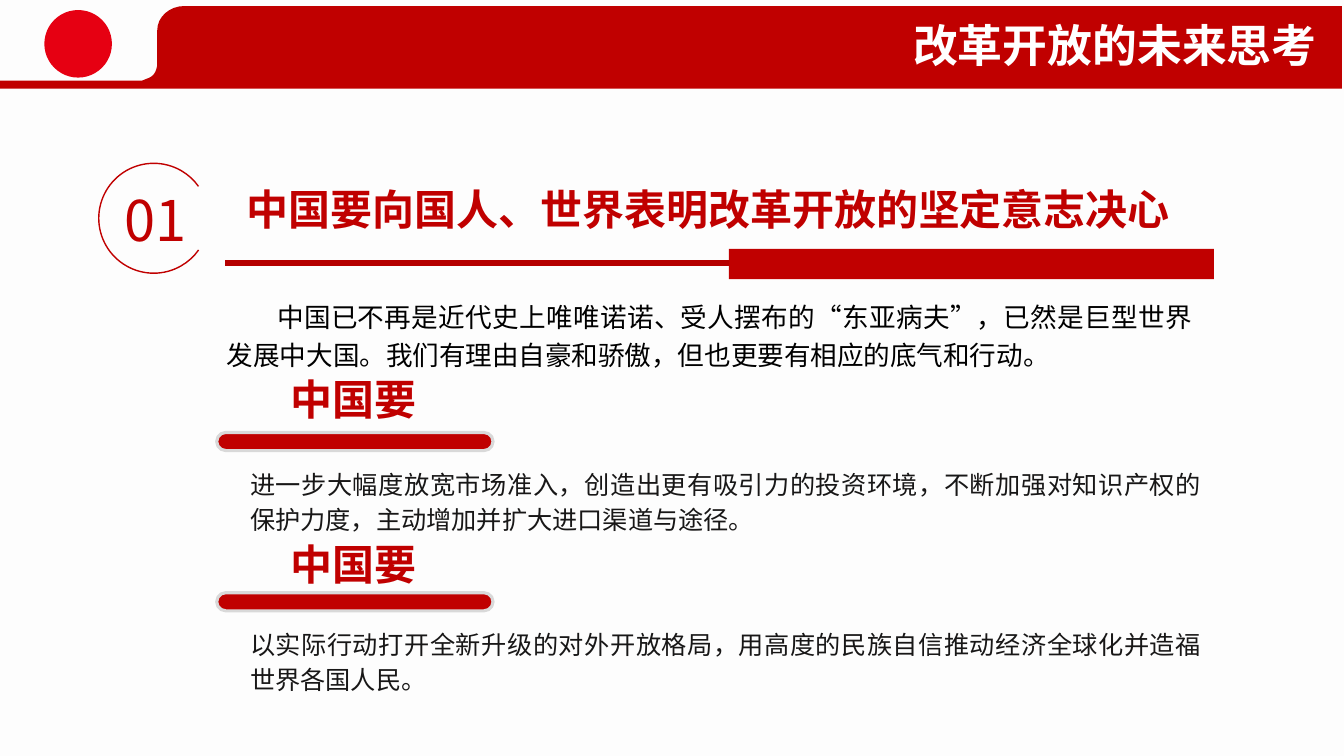
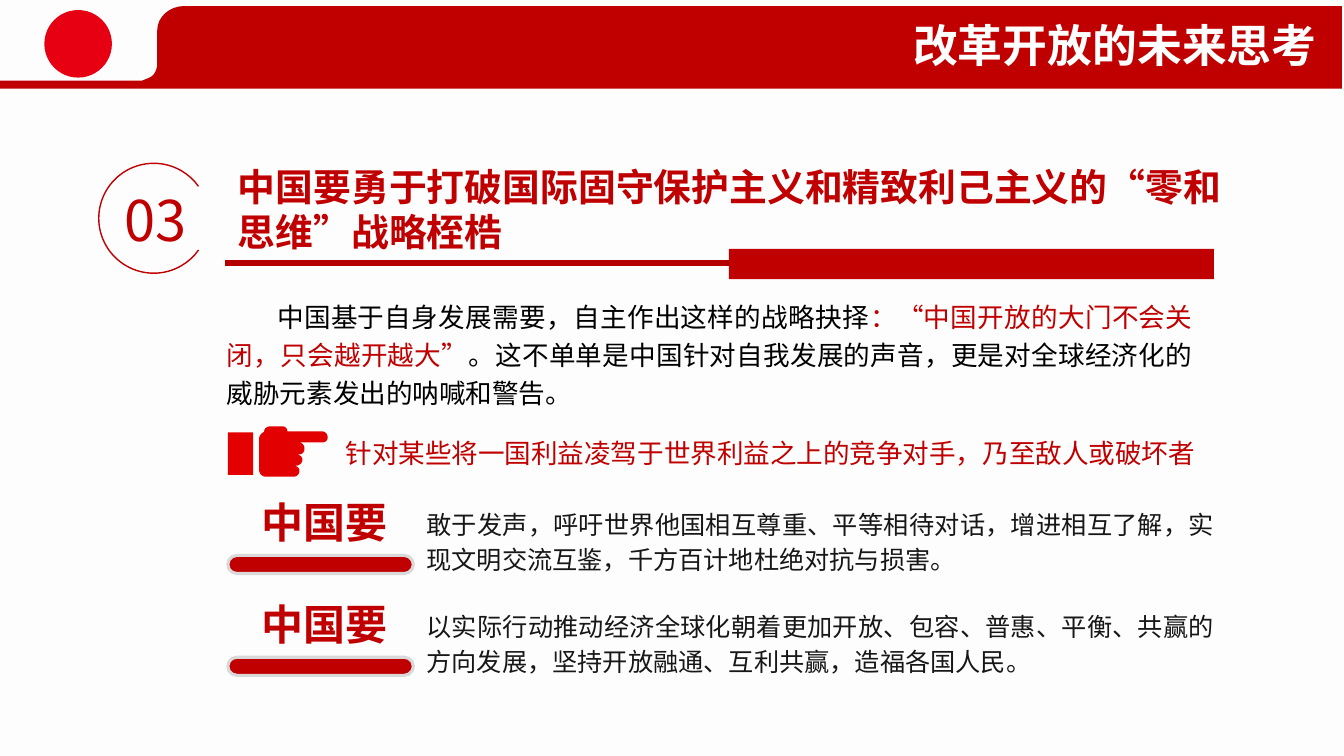
from dataclasses import dataclass

from lxml.etree import SubElement
from pptx import Presentation
from pptx.dml.color import RGBColor
from pptx.enum.shapes import MSO_CONNECTOR, MSO_SHAPE
from pptx.enum.text import MSO_ANCHOR, MSO_AUTO_SIZE, PP_ALIGN
from pptx.oxml.ns import qn
from pptx.util import Inches, Pt

FONT = "Noto Sans CJK SC"
RED = "C00000"
RULE_RED = "B50000"
EMBLEM_RED = "E60012"
HAND_RED = "E20000"
BLACK = "000000"
INK = "181717"
WHITE = "FFFFFF"
RIM = "D9D9D9"
PAPER = "FDFDFD"
CURVE_STEPS = 8

BAND = [
    (1.83, 0.06), (13.31, 0.06), (13.31, 0.88), (-0.02, 0.88), (-0.02, 0.8),
    (1.41, 0.8), (1.46, 0.78), (1.52, 0.76, 1.54, 0.72, 1.55, 0.69),
    (1.56, 0.65), (1.56, 0.3), (1.56, 0.17, 1.68, 0.06, 1.83, 0.06),
]
HAND = [
    (2.97, 4.67), (2.97, 4.64, 2.94, 4.62, 2.91, 4.62), (2.94, 4.62),
    (2.97, 4.62, 3, 4.59, 3, 4.56), (3, 4.53, 2.97, 4.51, 2.94, 4.51),
    (2.97, 4.51, 3.02, 4.51, 3.02, 4.45), (3.02, 4.42, 3, 4.39, 2.96, 4.39),
    (3.19, 4.39), (3.23, 4.39, 3.25, 4.37, 3.25, 4.34),
    (3.25, 4.31, 3.23, 4.28, 3.19, 4.28), (2.85, 4.28),
    (2.85, 4.25, 2.83, 4.23, 2.8, 4.23), (2.68, 4.23),
    (2.65, 4.23, 2.62, 4.25, 2.62, 4.28), (2.63, 4.28),
    (2.6, 4.29, 2.57, 4.32, 2.57, 4.35), (2.57, 4.66),
    (2.57, 4.7, 2.6, 4.73, 2.64, 4.73), (2.91, 4.73),
    (2.94, 4.73, 2.97, 4.71, 2.97, 4.67),
]


@dataclass(frozen=True)
class Box:
    left: float
    top: float
    width: float
    height: float

    def emu(self) -> tuple:
        return tuple(Inches(v) for v in (self.left, self.top, self.width, self.height))


@dataclass(frozen=True)
class Style:
    size: float
    color: str
    bold: bool = False
    align: PP_ALIGN = PP_ALIGN.LEFT
    spacing: object = None


@dataclass(frozen=True)
class Demand:
    pill: Box
    label_left: float
    detail_box: Box
    detail: str


@dataclass(frozen=True)
class Section:
    number: str
    heading: str
    heading_box: Box
    heading_size: float
    summary: tuple
    summary_height: float
    demands: tuple
    target: str = ""


HEADER = Style(32, WHITE, True, PP_ALIGN.RIGHT)
NUMBER = Style(40, RED)
LABEL = Style(30, RED, True)
SUMMARY = Style(19, BLACK, align=PP_ALIGN.JUSTIFY, spacing=1.2)
TARGET = Style(19, RED)
DETAIL = Style(18, INK, align=PP_ALIGN.JUSTIFY, spacing=Pt(25))

SECTIONS = [
    Section(
        "01", "中国要向国人、世界表明改革开放的坚定意志决心",
        Box(2.34, 1.77, 9.7, 0.87), 30,
        (("中国已不再是近代史上唯唯诺诺、受人摆布的“东亚病夫”，已然是巨型世界发展中大国。"
          "我们有理由自豪和骄傲，但也更要有相应的底气和行动。", BLACK),),
        0.84,
        (
            Demand(Box(2.15, 4.29, 2.74, 0.18), 2.78, Box(2.36, 4.55, 9.68, 0.79),
                   "进一步大幅度放宽市场准入，创造出更有吸引力的投资环境，不断加强对知识产权的"
                   "保护力度，主动增加并扩大进口渠道与途径。"),
            Demand(Box(2.15, 5.88, 2.74, 0.18), 2.78, Box(2.36, 6.14, 9.68, 0.79),
                   "以实际行动打开全新升级的对外开放格局，用高度的民族自信推动经济全球化并造福"
                   "世界各国人民。"),
        ),
    ),
    Section(
        "03", "中国要勇于打破国际固守保护主义和精致利己主义的“零和思维”战略桎梏",
        Box(2.26, 1.57, 10.01, 0.87), 27,
        (("中国基于自身发展需要，自主作出这样的战略抉择", BLACK),
         ("：“中国开放的大门不会关闭，只会越开越大”", RED),
         ("。这不单单是中国针对自我发展的声音，更是对全球经济化的威胁元素发出的呐喊和警告。", BLACK)),
        1.21,
        (
            Demand(Box(2.26, 5.51, 1.84, 0.18), 2.5, Box(4.11, 4.95, 8.06, 0.79),
                   "敢于发声，呼吁世界他国相互尊重、平等相待对话，增进相互了解，实现文明交流互鉴，"
                   "千方百计地杜绝对抗与损害。"),
            Demand(Box(2.26, 6.52, 1.84, 0.18), 2.5, Box(4.11, 5.96, 8.06, 0.79),
                   "以实际行动推动经济全球化朝着更加开放、包容、普惠、平衡、共赢的方向发展，"
                   "坚持开放融通、互利共赢，造福各国人民。"),
        ),
        "针对某些将一国利益凌驾于世界利益之上的竞争对手，乃至敌人或破坏者",
    ),
]


def rgb(color: str) -> RGBColor:
    return RGBColor.from_string(color)


def style_paragraph(paragraph, style: Style) -> None:
    paragraph.alignment = style.align
    paragraph.space_before = Pt(0)
    if style.spacing:
        paragraph.line_spacing = style.spacing
    font = paragraph.font
    font.name, font.size, font.bold = FONT, Pt(style.size), style.bold
    font.color.rgb = rgb(style.color)
    SubElement(font._element, qn("a:ea"), typeface=FONT)


def add_runs(paragraph, runs: tuple, style: Style) -> None:
    style_paragraph(paragraph, style)
    for text, color in runs:
        run = paragraph.add_run()
        run.text = text
        if color != style.color:
            run.font.color.rgb = rgb(color)


def add_text(slide, box: Box, text: str, style: Style, wrap: bool = True,
             inset: tuple = (0.1, 0.05)) -> None:
    frame = slide.shapes.add_textbox(*box.emu()).text_frame
    frame.word_wrap = wrap
    frame.margin_left = frame.margin_right = Inches(inset[0])
    frame.margin_top = frame.margin_bottom = Inches(inset[1])
    add_runs(frame.paragraphs[0], ((text, style.color),), style)


def fill_placeholder(placeholder, box: Box, runs: tuple, style: Style):
    placeholder.left, placeholder.top, placeholder.width, placeholder.height = box.emu()
    frame = placeholder.text_frame
    frame.word_wrap = True
    frame.auto_size = MSO_AUTO_SIZE.NONE
    frame.vertical_anchor = MSO_ANCHOR.TOP
    add_runs(frame.paragraphs[0], runs, style)
    return frame.paragraphs[0]


def paint(shape, fill: str) -> None:
    shape.shadow.inherit = False
    shape.fill.solid()
    shape.fill.fore_color.rgb = rgb(fill)
    shape.line.fill.background()


def add_block(slide, preset: MSO_SHAPE, box: Box, fill: str):
    shape = slide.shapes.add_shape(preset, *box.emu())
    paint(shape, fill)
    return shape


def trace(outline: list) -> list:
    points = [outline[0]]
    for segment in outline[1:]:
        if len(segment) == 2:
            points.append(segment)
            continue
        x0, y0 = points[-1]
        x1, y1, x2, y2, x3, y3 = segment
        for step in range(1, CURVE_STEPS + 1):
            t = step / CURVE_STEPS
            u = 1 - t
            a, b, c, d = u**3, 3 * u * u * t, 3 * u * t * t, t**3
            points.append((a * x0 + b * x1 + c * x2 + d * x3,
                           a * y0 + b * y1 + c * y2 + d * y3))
    return [(Inches(x), Inches(y)) for x, y in points]


def add_outline(slide, outline: list, fill: str) -> None:
    start, *rest = trace(outline)
    builder = slide.shapes.build_freeform(*start)
    builder.add_line_segments(rest, close=True)
    paint(builder.convert_to_shape(), fill)


def add_header(slide) -> None:
    add_block(slide, MSO_SHAPE.OVAL, Box(0.44, 0.1, 0.67, 0.67), EMBLEM_RED)
    add_outline(slide, BAND, RED)
    add_text(slide, Box(4.78, 0.13, 8.38, 0.64), "改革开放的未来思考", HEADER)


def add_number(slide, number: str) -> None:
    ring = slide.shapes.add_shape(MSO_SHAPE.ARC, *Box(0.98, 1.62, 1.09, 1.09).emu())
    ring.shadow.inherit = False
    ring.fill.background()
    ring.adjustments[0], ring.adjustments[1] = 21.17, 194.72
    ring.line.color.rgb = rgb(RED)
    ring.line.width = Pt(1)
    add_text(slide, Box(1.14, 1.79, 0.86, 0.77), number, NUMBER, wrap=False)


def add_rule(slide) -> None:
    rule = slide.shapes.add_connector(
        MSO_CONNECTOR.STRAIGHT, Inches(10.68), Inches(2.61), Inches(2.23), Inches(2.61))
    rule.line.color.rgb = rgb(RULE_RED)
    rule.line.width = Pt(4.5)
    SubElement(rule.element.spPr, qn("a:effectLst"))
    add_block(slide, MSO_SHAPE.RECTANGLE, Box(7.23, 2.47, 4.81, 0.3), RED)


def add_target(slide, target: str) -> None:
    add_outline(slide, HAND, HAND_RED)
    add_block(slide, MSO_SHAPE.RECTANGLE, Box(2.26, 4.29, 0.25, 0.42), HAND_RED)
    add_text(slide, Box(3.33, 4.29, 8.73, 0.42), target, TARGET, wrap=False)


def add_demand(slide, demand: Demand, label_top: float) -> None:
    pill = add_block(slide, MSO_SHAPE.ROUNDED_RECTANGLE, demand.pill, RED)
    pill.adjustments[0] = 0.5
    pill.line.color.rgb = rgb(RIM)
    pill.line.width = Pt(2.25)
    add_text(slide, Box(demand.label_left, label_top, 1.46, 0.61), "中国要", LABEL, wrap=False)
    add_text(slide, demand.detail_box, demand.detail, DETAIL, inset=(0.12, 0.06))


def add_section(deck, section: Section) -> None:
    slide = deck.slides.add_slide(deck.slide_layouts[1])
    heading_style = Style(section.heading_size, RED, True)
    fill_placeholder(slide.shapes.title, section.heading_box,
                     ((section.heading, RED),), heading_style)
    summary = fill_placeholder(slide.placeholders[1], Box(2.15, 2.87, 9.78, section.summary_height),
                               section.summary, SUMMARY)
    properties = summary._p.get_or_add_pPr()
    properties.set("marL", "0")
    properties.set("indent", str(Inches(0.5)))
    properties.insert_element_before(
        properties.makeelement(qn("a:buNone")), "a:tabLst", "a:defRPr", "a:extLst")
    add_header(slide)
    add_number(slide, section.number)
    add_rule(slide)
    if section.target:
        add_target(slide, section.target)
    for demand in section.demands:
        label_gap = 0.63 if section.target or demand is section.demands[0] else 0.59
        add_demand(slide, demand, demand.pill.top - label_gap)


def main() -> None:
    deck = Presentation()
    deck.slide_width, deck.slide_height = Inches(13.33), Inches(7.5)
    backdrop = deck.slide_master.background.fill
    backdrop.solid()
    backdrop.fore_color.rgb = rgb(PAPER)
    for section in SECTIONS:
        add_section(deck, section)
    deck.save("out.pptx")


if __name__ == "__main__":
    main()
